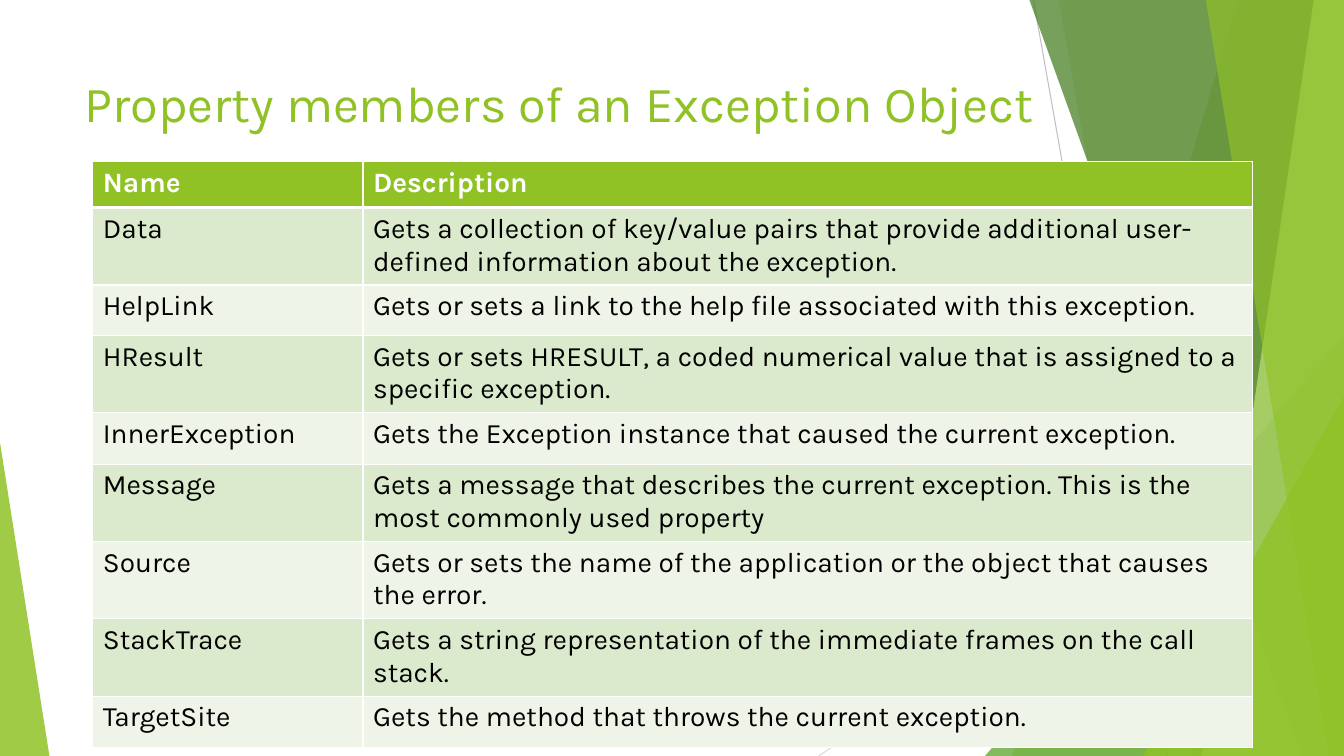
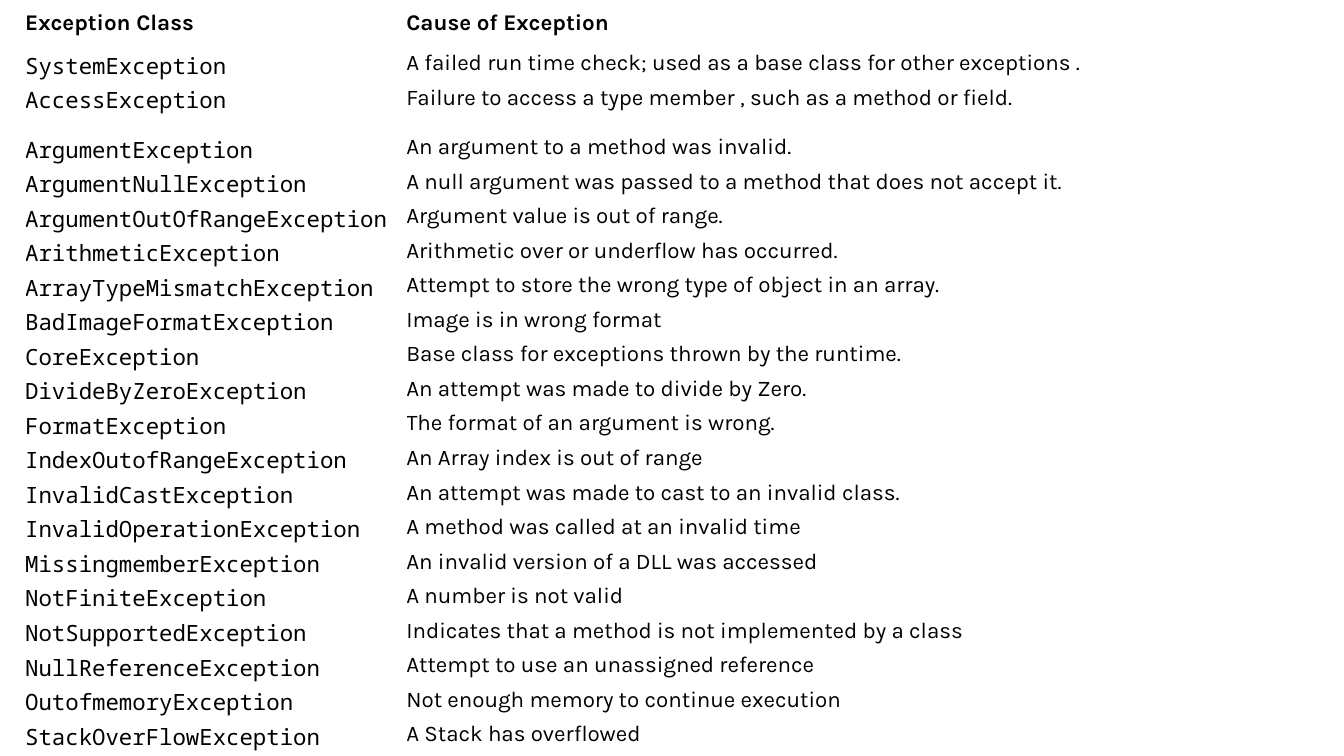
from dataclasses import dataclass

import lxml.etree as etree
import pptx
import pptx.dml.color
import pptx.enum.shapes
import pptx.oxml.ns
import pptx.shapes.base
import pptx.slide
import pptx.table
import pptx.util

Inches = pptx.util.Inches
Pt = pptx.util.Pt
RGBColor = pptx.dml.color.RGBColor
qn = pptx.oxml.ns.qn

# Shared colours and fonts
WHITE = RGBColor(0xFF, 0xFF, 0xFF)
BLACK = RGBColor(0x00, 0x00, 0x00)
LIME = RGBColor(0x90, 0xC2, 0x26)
GREEN = RGBColor(0x54, 0xA0, 0x21)
DARK_GREEN = RGBColor(0x3F, 0x78, 0x19)
PALE_LIME = RGBColor(0xC0, 0xE4, 0x74)
BAND_DARK = RGBColor(0xDB, 0xE9, 0xCD)
BAND_LIGHT = RGBColor(0xEE, 0xF4, 0xE8)
GRAY = RGBColor(0xBF, 0xBF, 0xBF)
LIGHT_GRAY = RGBColor(0xD9, 0xD9, 0xD9)
BODY_FONT = "Karla"
CODE_FONT = "Noto Sans Mono"

SLIDE_WIDTH = 13.33
SLIDE_HEIGHT = 7.5


@dataclass(frozen=True)
class Ray:
    """Thin line across the decoration."""
    start: tuple[float, float]
    end: tuple[float, float]
    color: RGBColor


@dataclass(frozen=True)
class Band:
    """Slanted band that reaches the right edge of the slide."""
    top_left: float
    bottom_left: float
    color: RGBColor
    opacity: int


@dataclass(frozen=True)
class Wedge:
    """Triangle standing on the bottom edge of the slide."""
    left: float
    width: float
    height: float
    apex: float
    color: RGBColor
    opacity: int


@dataclass(frozen=True)
class TableLayout:
    left: float
    top: float
    column_widths: tuple[float, ...]
    row_heights: list[float]
    column_fonts: tuple[str, ...]
    size: int
    inset: tuple[float, float]
    header_color: RGBColor
    banded: bool


DECORATION = [
    Ray((10.25, 0), (11.58, SLIDE_HEIGHT), GRAY),
    Ray((SLIDE_WIDTH, 4.03), (8.12, SLIDE_HEIGHT), LIGHT_GRAY),
    Band(12.28, 10.04, LIME, 30),
    Band(10.5, 11.83, LIME, 20),
    Wedge(9.77, 3.56, 4.17, 1, GREEN, 72),
    Band(10.21, 12.91, DARK_GREEN, 70),
    Band(13.03, 11.92, PALE_LIME, 70),
    Band(11.96, 13.18, LIME, 65),
    Wedge(11.34, 1.99, 3.57, 1, LIME, 80),
    Wedge(0, 0.49, 3.11, 0, LIME, 85),
]

PROPERTY_ROWS = [
    ("Name", "Description"),
    ("Data", "Gets a collection of key/value pairs that provide additional "
             "user-defined information about the exception."),
    ("HelpLink", "Gets or sets a link to the help file associated with this exception."),
    ("HResult", "Gets or sets HRESULT, a coded numerical value that is assigned "
                "to a specific exception."),
    ("InnerException", "Gets the Exception instance that caused the current exception."),
    ("Message", "Gets a message that describes the current exception. This is the "
                "most commonly used property"),
    ("Source", "Gets or sets the name of the application or the object that causes the error."),
    ("StackTrace", "Gets a string representation of the immediate frames on the call stack."),
    ("TargetSite", "Gets the method that throws the current exception."),
]

EXCEPTION_ROWS = [
    ("Exception Class", "Cause of Exception"),
    ("SystemException", "A failed run time check; used as a base class for other exceptions ."),
    ("AccessException", "Failure to access a type member , such as a method or field."),
    ("ArgumentException", "An argument to a method was invalid."),
    ("ArgumentNullException", "A null argument was passed to a method that does not accept it."),
    ("ArgumentOutOfRangeException", "Argument value is out of range."),
    ("ArithmeticException", "Arithmetic over or underflow has occurred."),
    ("ArrayTypeMismatchException", "Attempt to store the wrong type of object in an array."),
    ("BadImageFormatException", "Image is in wrong format"),
    ("CoreException", "Base class for exceptions thrown by the runtime."),
    ("DivideByZeroException", "An attempt was made to divide by Zero."),
    ("FormatException", "The format of an argument is wrong."),
    ("IndexOutofRangeException", "An Array index is out of range"),
    ("InvalidCastException", "An attempt was made to cast to an invalid class."),
    ("InvalidOperationException", "A method was called at an invalid time"),
    ("MissingmemberException", "An invalid version of a DLL was accessed"),
    ("NotFiniteException", "A number is not valid"),
    ("NotSupportedException", "Indicates that a method is not implemented by a class"),
    ("NullReferenceException", "Attempt to use an unassigned reference"),
    ("OutofmemoryException", "Not enough memory to continue execution"),
    ("StackOverFlowException", "A Stack has overflowed"),
]

PROPERTY_LAYOUT = TableLayout(
    0.92, 1.6, (2.68, 8.82), [0.46, 0.74, 0.5, 0.75, 0.51, 0.75, 0.75, 0.75, 0.51],
    (BODY_FONT, BODY_FONT), 20, (0.1, 0.05), WHITE, True)

# The header and the second entry are taller; the other rows share the rest
HEADER_HEIGHT, GAP_ROW_HEIGHT = 0.4, 0.49
PLAIN_HEIGHT = (7.4 - HEADER_HEIGHT - GAP_ROW_HEIGHT) / (len(EXCEPTION_ROWS) - 2)
EXCEPTION_LAYOUT = TableLayout(
    0.25, 0.1, (3.78, 9.15),
    [HEADER_HEIGHT, PLAIN_HEIGHT, GAP_ROW_HEIGHT] + [PLAIN_HEIGHT] * (len(EXCEPTION_ROWS) - 3),
    (CODE_FONT, BODY_FONT), 16, (0, 0), BLACK, False)


# Decoration
def fill_translucent(shape: pptx.shapes.base.BaseShape, color: RGBColor, opacity: int) -> None:
    shape.shadow.inherit = False
    shape.line.fill.background()
    shape.fill.solid()
    shape.fill.fore_color.rgb = color
    color_element = shape._element.spPr.find(f"{qn('a:solidFill')}/{qn('a:srgbClr')}")
    etree.SubElement(color_element, qn("a:alpha"), val=str(opacity * 1000))


def draw_ray(slide: pptx.slide.Slide, ray: Ray) -> None:
    connector = slide.shapes.add_connector(
        pptx.enum.shapes.MSO_CONNECTOR.STRAIGHT,
        *(Inches(value) for value in ray.start + ray.end))
    connector.line.color.rgb = ray.color
    connector.line.width = Pt(0.75)
    etree.SubElement(connector._element.spPr, qn("a:effectLst"))


def draw_band(slide: pptx.slide.Slide, band: Band) -> None:
    corners = [(SLIDE_WIDTH, 0), (SLIDE_WIDTH, SLIDE_HEIGHT), (band.bottom_left, SLIDE_HEIGHT)]
    builder = slide.shapes.build_freeform(Inches(band.top_left), 0)
    builder.add_line_segments([(Inches(x), Inches(y)) for x, y in corners], close=True)
    fill_translucent(builder.convert_to_shape(), band.color, band.opacity)


def draw_wedge(slide: pptx.slide.Slide, wedge: Wedge) -> None:
    shape = slide.shapes.add_shape(
        pptx.enum.shapes.MSO_SHAPE.ISOSCELES_TRIANGLE,
        Inches(wedge.left), Inches(SLIDE_HEIGHT - wedge.height),
        Inches(wedge.width), Inches(wedge.height))
    shape.adjustments[0] = wedge.apex
    fill_translucent(shape, wedge.color, wedge.opacity)


def draw_decoration(slide: pptx.slide.Slide) -> None:
    painters = {Ray: draw_ray, Band: draw_band, Wedge: draw_wedge}
    for part in DECORATION:
        painters[type(part)](slide, part)


# Title
def draw_title(slide: pptx.slide.Slide, text: str) -> None:
    box = slide.shapes.add_textbox(Inches(0.74), Inches(0.67), Inches(11.68), Inches(1.44))
    box.text_frame.word_wrap = True
    paragraph = box.text_frame.paragraphs[0]
    paragraph.text = text
    paragraph.font.name = BODY_FONT
    paragraph.font.size = Pt(36)
    paragraph.font.color.rgb = LIME


# Tables
def set_borders(cell: pptx.table._Cell, row_index: int) -> None:
    properties = cell._tc.get_or_add_tcPr()
    widths = {"L": 1, "R": 1, "T": 3 if row_index == 1 else 1, "B": 3 if row_index == 0 else 1}
    for side, width in widths.items():
        line = etree.SubElement(properties, qn(f"a:ln{side}"), w=str(Pt(width)))
        fill = etree.SubElement(line, qn("a:solidFill"))
        etree.SubElement(fill, qn("a:srgbClr"), val=str(WHITE))


def fill_band(cell: pptx.table._Cell, row_index: int) -> None:
    cell.fill.solid()
    if row_index == 0:
        cell.fill.fore_color.rgb = LIME
    else:
        cell.fill.fore_color.rgb = BAND_DARK if row_index % 2 else BAND_LIGHT


def draw_table(slide: pptx.slide.Slide, layout: TableLayout, rows: list[tuple[str, str]]) -> None:
    table = slide.shapes.add_table(
        len(rows), len(layout.column_widths), Inches(layout.left), Inches(layout.top),
        Inches(sum(layout.column_widths)), Inches(sum(layout.row_heights))).table
    table.first_row = table.horz_banding = False
    for column, width in zip(table.columns, layout.column_widths):
        column.width = Inches(width)
    for row_index, texts in enumerate(rows):
        is_header = row_index == 0
        table.rows[row_index].height = Inches(layout.row_heights[row_index])
        for column_index, text in enumerate(texts):
            cell = table.cell(row_index, column_index)
            cell.margin_left = cell.margin_right = Inches(layout.inset[0])
            cell.margin_top = cell.margin_bottom = Inches(layout.inset[1])
            if layout.banded:
                set_borders(cell, row_index)
                fill_band(cell, row_index)
            else:
                cell.fill.background()
            paragraph = cell.text_frame.paragraphs[0]
            paragraph.text = text
            paragraph.font.name = BODY_FONT if is_header else layout.column_fonts[column_index]
            paragraph.font.size = Pt(layout.size)
            paragraph.font.bold = is_header
            paragraph.font.color.rgb = layout.header_color if is_header else BLACK


def main() -> None:
    presentation = pptx.Presentation()
    presentation.slide_width = Inches(SLIDE_WIDTH)
    presentation.slide_height = Inches(SLIDE_HEIGHT)
    blank_layout = presentation.slide_layouts[6]

    # Exception properties
    slide = presentation.slides.add_slide(blank_layout)
    draw_decoration(slide)
    draw_title(slide, "Property members of an Exception Object")
    draw_table(slide, PROPERTY_LAYOUT, PROPERTY_ROWS)

    # Exception classes
    slide = presentation.slides.add_slide(blank_layout)
    draw_table(slide, EXCEPTION_LAYOUT, EXCEPTION_ROWS)

    presentation.save("out.pptx")


if __name__ == "__main__":
    main()
